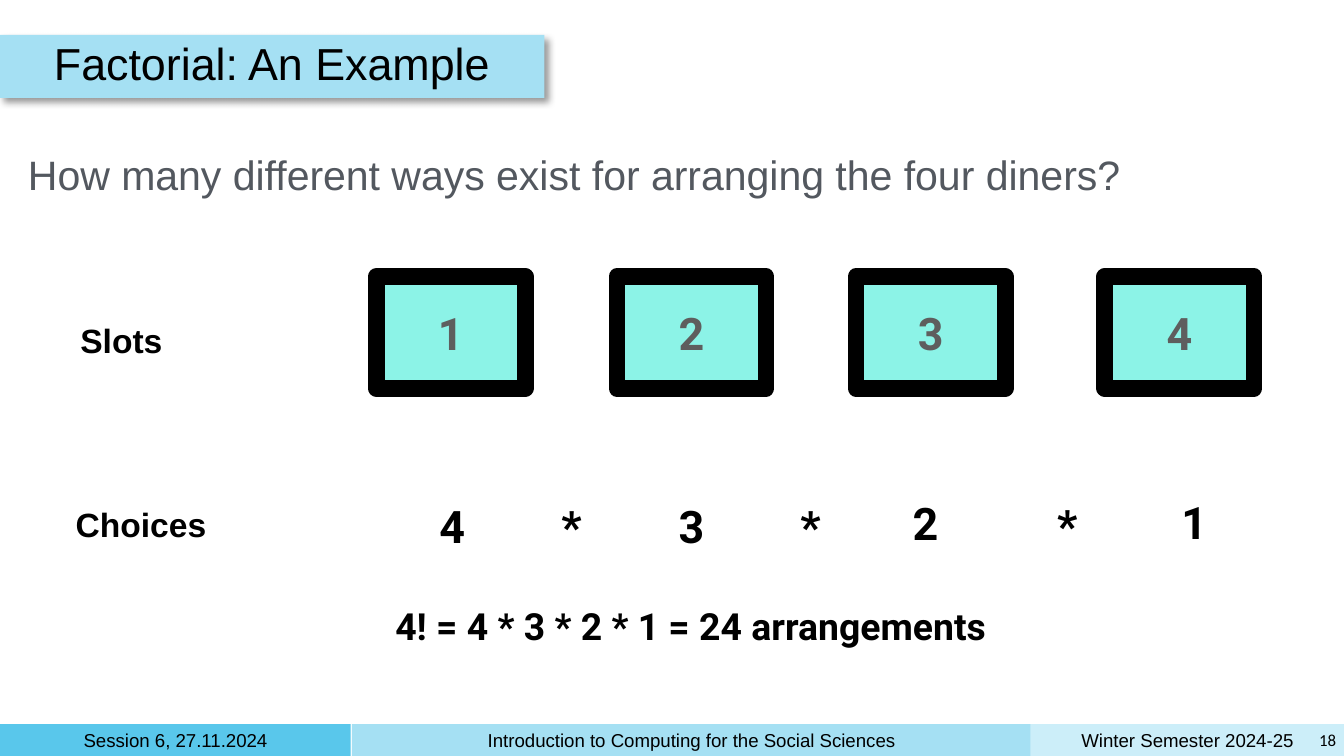
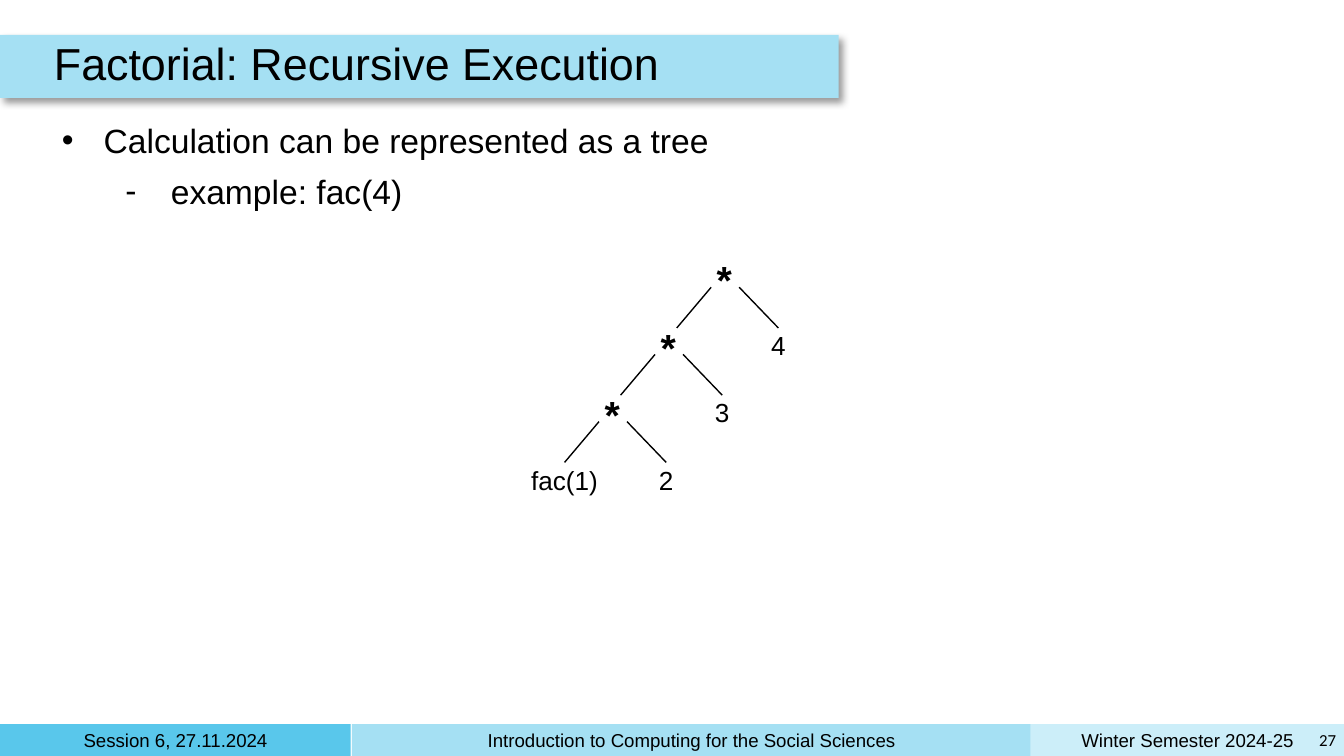
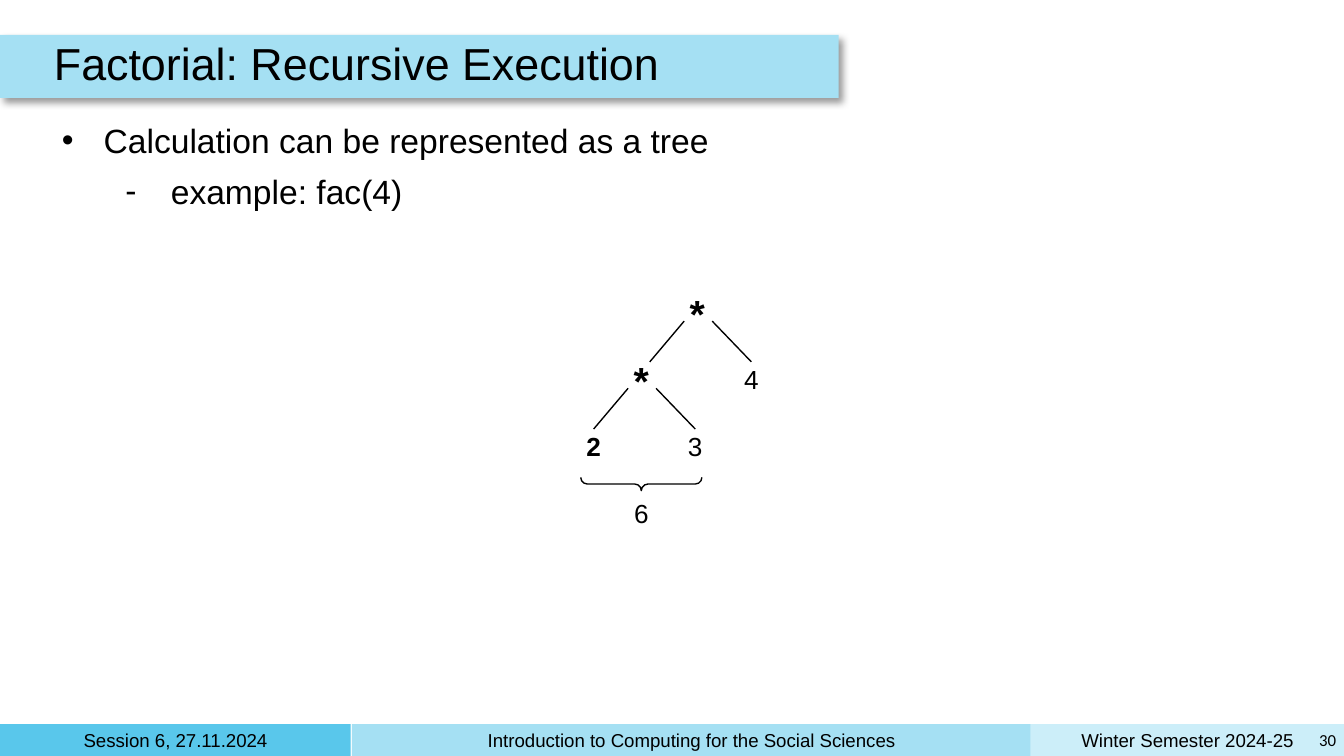
from lxml import etree
from pptx import Presentation
from pptx.dml.color import RGBColor
from pptx.enum.shapes import MSO_CONNECTOR, MSO_SHAPE
from pptx.enum.text import MSO_ANCHOR, PP_ALIGN
from pptx.oxml.ns import qn
from pptx.util import Cm, Pt

LEFT, CENTER, RIGHT = PP_ALIGN.LEFT, PP_ALIGN.CENTER, PP_ALIGN.RIGHT
TOP, MIDDLE = MSO_ANCHOR.TOP, MSO_ANCHOR.MIDDLE
RECTANGLE, OVAL = MSO_SHAPE.RECTANGLE, MSO_SHAPE.OVAL
RIGHT_BRACE = MSO_SHAPE.RIGHT_BRACE
STRAIGHT = MSO_CONNECTOR.STRAIGHT

BLACK, SKY = "000000", "A5E0F3"
SLOT_FILL, SLOT_TEXT, QUESTION_GREY = "16E7CF", "5E5E5E", "53585F"
BODY_FONT, NUMBER_FONT, PAGE_FONT = "Arial", "Roboto", "Calibri"

SLIDE_WIDTH, SLIDE_HEIGHT = 25.4, 14.29
FOOTER_TOP, FOOTER_HEIGHT = 13.69, 0.6
FOOTER_BANDS = [
    (19.48, 5.92, "CCEEF9", "Winter Semester 2024-25"),
    (0, 6.63, "59C7EB", "Session 6, 27.11.2024"),
    (6.65, 12.83, SKY, "Introduction to Computing for the Social Sciences"),
]
TITLE_TOP, TITLE_HEIGHT = 0.66, 1.19

SLOT_LEFTS = [7.11, 11.66, 16.18, 20.88]
CHOICES = [
    ("4", 8.55, 9.93), ("*", 10.8, 9.93), ("3", 13.07, 9.93), ("*", 15.32, 9.93),
    ("2", 17.49, 9.88), ("*", 20.17, 9.91), ("1", 22.57, 9.86),
]

LEVEL_DX, LEVEL_DY = -1.06, 1.27
EDGE_TOP, EDGE_BOTTOM = 0.25, 1.02
LEFT_EDGE, RIGHT_EDGE = (-0.25, -0.9), (0.28, 1.02)
OPERATOR_SIZE = 0.76
OPERAND_WIDTH, OPERAND_HEIGHT = 1.45, 0.76


def color(hex_code):
    """Turn a hex string into a colour."""
    return RGBColor.from_string(hex_code)


def cm(*lengths):
    """Turn numbers into lengths in centimetres."""
    return [Cm(length) for length in lengths]


def style_paragraph(paragraph, size, font=BODY_FONT, ink=BLACK, bold=False, align=LEFT):
    """Set the font and alignment of one paragraph."""
    paragraph.alignment = align
    paragraph.font.size = Pt(size)
    paragraph.font.name = font
    paragraph.font.bold = bold
    paragraph.font.color.rgb = color(ink)


def fill_frame(shape, text, size, inset=0.0, anchor=MIDDLE, **style):
    """Write one styled paragraph into a shape and return it."""
    frame = shape.text_frame
    frame.word_wrap = True
    frame.vertical_anchor = anchor
    frame.margin_left = frame.margin_right = Cm(inset)
    frame.margin_top = frame.margin_bottom = Cm(inset)
    frame.text = text
    style_paragraph(frame.paragraphs[0], size, **style)
    return frame.paragraphs[0]


def add_text(slide, box, text, size, **style):
    """Add a text box with one paragraph and return the paragraph."""
    return fill_frame(slide.shapes.add_textbox(*cm(*box)), text, size, **style)


def add_panel(slide, box, kind=RECTANGLE, fill=None, line_width=0):
    """Add a preset shape without shadow, filled or outlined as asked."""
    panel = slide.shapes.add_shape(kind, *cm(*box))
    panel.shadow.inherit = False
    if fill:
        panel.fill.solid()
        panel.fill.fore_color.rgb = color(fill)
    else:
        panel.fill.background()
    if line_width:
        panel.line.color.rgb = color(BLACK)
        panel.line.width = Pt(line_width)
    else:
        panel.line.fill.background()
    return panel


def set_alpha(color_element, percent):
    """Make a colour element partly transparent."""
    etree.SubElement(color_element, qn("a:alpha"), val=str(percent * 1000))


def add_drop_shadow(shape):
    """Cast a soft shadow to the lower right."""
    effects = shape._element.spPr.find(qn("a:effectLst"))
    shadow = etree.SubElement(
        effects, qn("a:outerShdw"), blurRad=str(Pt(4)), dist=str(Pt(3)),
        dir="2700000", algn="tl", rotWithShape="0")
    set_alpha(etree.SubElement(shadow, qn("a:srgbClr"), val=BLACK), 40)


def add_title(slide, title, band_width):
    """Add the title on its shaded band."""
    add_drop_shadow(add_panel(slide, (0, TITLE_TOP, band_width, TITLE_HEIGHT), fill=SKY))
    heading = add_text(slide, (0.89, TITLE_TOP, 21.84, TITLE_HEIGHT), title, 24, inset=0.13)
    heading.line_spacing = 0.9


def add_footer(slide, page):
    """Add the three footer bands and the page number."""
    for left, width, fill, label in FOOTER_BANDS:
        add_panel(slide, (left, FOOTER_TOP, width, FOOTER_HEIGHT), fill=fill)
        add_text(slide, (left + 0.13, FOOTER_TOP + 0.05, width - 0.26, 0.48),
                 label, 10, align=CENTER)
    add_text(slide, (24.77, 13.67, 0.61, 0.64), str(page), 9, inset=0.13,
             font=PAGE_FONT, align=RIGHT)


def start_slide(deck, title, band_width, page):
    """Add a blank slide with footer and title."""
    slide = deck.slides.add_slide(deck.slide_layouts[6])
    add_footer(slide, page)
    add_title(slide, title, band_width)
    return slide


def add_bullet(paragraph, mark, margin, indent):
    """Give a paragraph a black bullet and a hanging indent."""
    properties = paragraph._p.get_or_add_pPr()
    properties.set("marL", str(Cm(margin)))
    properties.set("indent", str(Cm(indent)))
    bullet_color = etree.SubElement(properties, qn("a:buClr"))
    etree.SubElement(bullet_color, qn("a:srgbClr"), val=BLACK)
    etree.SubElement(properties, qn("a:buFont"), typeface=BODY_FONT)
    etree.SubElement(properties, qn("a:buChar"), char=mark)


def add_tree_intro(slide):
    """Add the bullet and sub-bullet above a tree."""
    claim = add_text(slide, (1.04, 2.13, 23.34, 2.01),
                     "Calculation can be represented as a tree", 18, inset=0.13, anchor=TOP)
    add_bullet(claim, "•", 0.79, -0.84)
    example = slide.shapes[-1].text_frame.add_paragraph()
    example.text = "example: fac(4)"
    example.level = 1
    add_bullet(example, "-", 2.06, -0.86)
    example.space_before = Pt(6)
    style_paragraph(example, 18)


def add_operator(slide, x, y):
    """Add a multiplication node centred on a point."""
    half = OPERATOR_SIZE / 2
    node = add_panel(slide, (x - half, y - half, OPERATOR_SIZE, OPERATOR_SIZE), OVAL)
    fill_frame(node, "*", 21, bold=True, align=CENTER)
    node.text_frame.margin_top = Cm(0.2)


def add_operand(slide, x, top, text, bold=False):
    """Add a leaf label centred on x."""
    add_text(slide, (x - OPERAND_WIDTH / 2, top, OPERAND_WIDTH, OPERAND_HEIGHT),
             text, 14, inset=0.03, anchor=TOP, bold=bold, align=CENTER)


def add_edge(slide, x, y, reach):
    """Draw a line from an operator down to a child."""
    start, end = reach
    edge = slide.shapes.add_connector(
        STRAIGHT, *cm(x + start, y + EDGE_TOP, x + end, y + EDGE_BOTTOM))
    edge.line.color.rgb = color(BLACK)
    edge.line.width = Pt(0.75)
    etree.SubElement(edge._element.spPr, qn("a:effectLst"))


def add_tree(slide, x, y, factors, innermost, bold=False):
    """Draw a product tree and return the centre of its lowest operator."""
    for level, factor in enumerate(factors):
        node_x, node_y = x + level * LEVEL_DX, y + level * LEVEL_DY
        add_operator(slide, node_x, node_y)
        add_operand(slide, node_x + RIGHT_EDGE[1], node_y + EDGE_BOTTOM, factor)
        for reach in (LEFT_EDGE, RIGHT_EDGE):
            add_edge(slide, node_x, node_y, reach)
    add_operand(slide, node_x + LEFT_EDGE[1], node_y + EDGE_BOTTOM, innermost, bold)
    return node_x, node_y


def add_partial_result(slide, x, y, result):
    """Brace the leaves below an operator and name their product."""
    thickness, span = 0.25, 2.29
    brace = add_panel(slide, (x - thickness / 2, y + 2.06 - span / 2, thickness, span),
                      RIGHT_BRACE, line_width=0.75)
    brace.adjustments[0] = 0.5
    brace.rotation = 90
    add_operand(slide, x, y + 2.29, result)


def add_slot(slide, left, number):
    """Add one numbered seat."""
    slot = add_panel(slide, (left, 5.23, 2.82, 2.11), fill=SLOT_FILL, line_width=9)
    set_alpha(slot._element.spPr.find(qn("a:solidFill"))[0], 49)
    fill_frame(slot, str(number), 24, font=NUMBER_FONT, ink=SLOT_TEXT, bold=True, align=CENTER)


def build_example(deck):
    """Build the slide on seating four diners."""
    slide = start_slide(deck, "Factorial: An Example", 10.29, 18)
    add_text(slide, (0.38, 2.67, 22.35, 1.65),
             "How many different ways exist for arranging the four diners?",
             22, inset=0.15, anchor=TOP, ink=QUESTION_GREY)
    for label, box in (("Slots", (1.37, 5.89, 1.85, 1.07)),
                       ("Choices", (1.27, 9.37, 2.79, 1.07))):
        add_text(slide, box, label, 18, bold=True, align=CENTER)
    for number, left in enumerate(SLOT_LEFTS, start=1):
        add_slot(slide, left, number)
    for symbol, x, y in CHOICES:
        add_text(slide, (x - 0.4, y - 0.66, 0.8, 1.32), symbol, 24,
                 font=NUMBER_FONT, bold=True, align=CENTER)
    add_text(slide, (7.14, 11.25, 11.84, 1.14), "4! = 4 * 3 * 2 * 1 = 24 arrangements",
             20, font=NUMBER_FONT, bold=True, align=CENTER)


def start_recursion_slide(deck, page):
    """Start a slide of the recursive execution sequence."""
    slide = start_slide(deck, "Factorial: Recursive Execution", 15.85, page)
    add_tree_intro(slide)
    return slide


def main():
    """Build and save the deck."""
    deck = Presentation()
    deck.slide_width, deck.slide_height = cm(SLIDE_WIDTH, SLIDE_HEIGHT)
    build_example(deck)
    add_tree(start_recursion_slide(deck, 27), 13.69, 5.18, "432", "fac(1)")
    evaluation = start_recursion_slide(deck, 30)
    x, y = add_tree(evaluation, 13.18, 5.82, "43", "2", bold=True)
    add_partial_result(evaluation, x, y, "6")
    deck.save("out.pptx")


if __name__ == "__main__":
    main()
